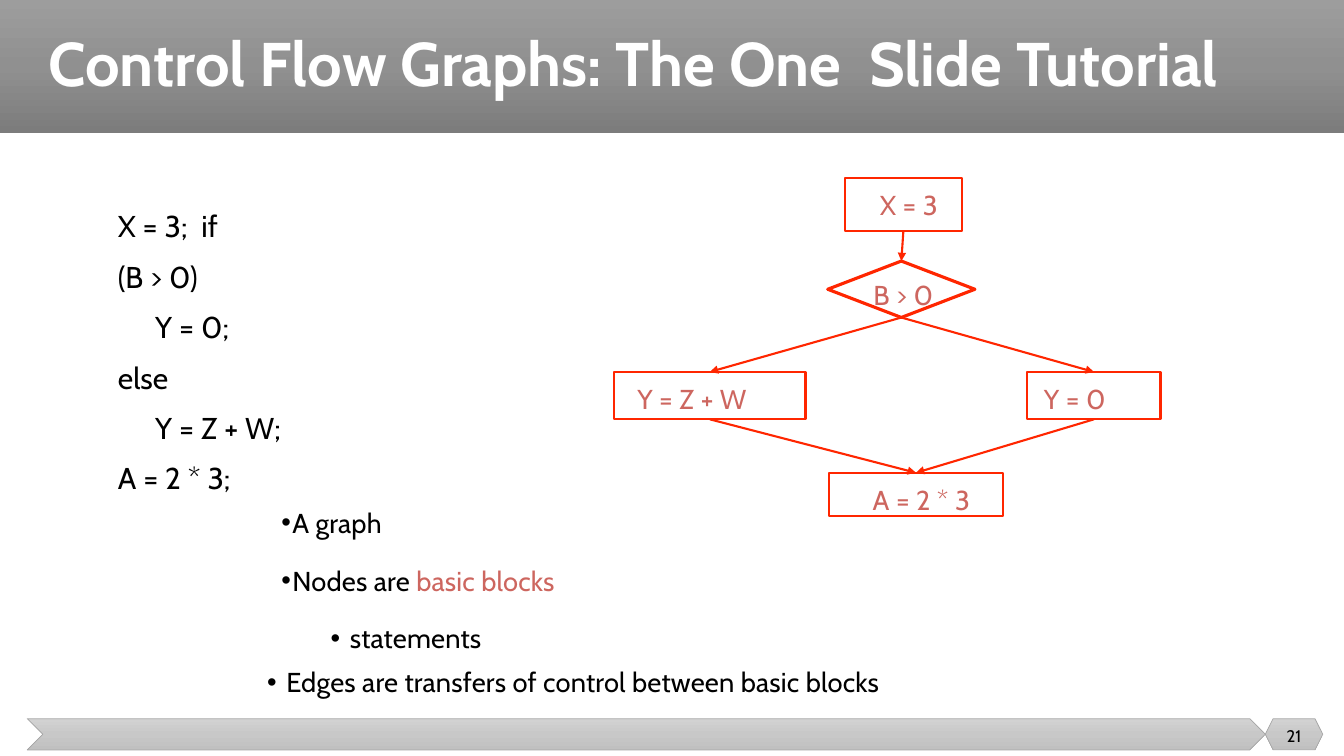
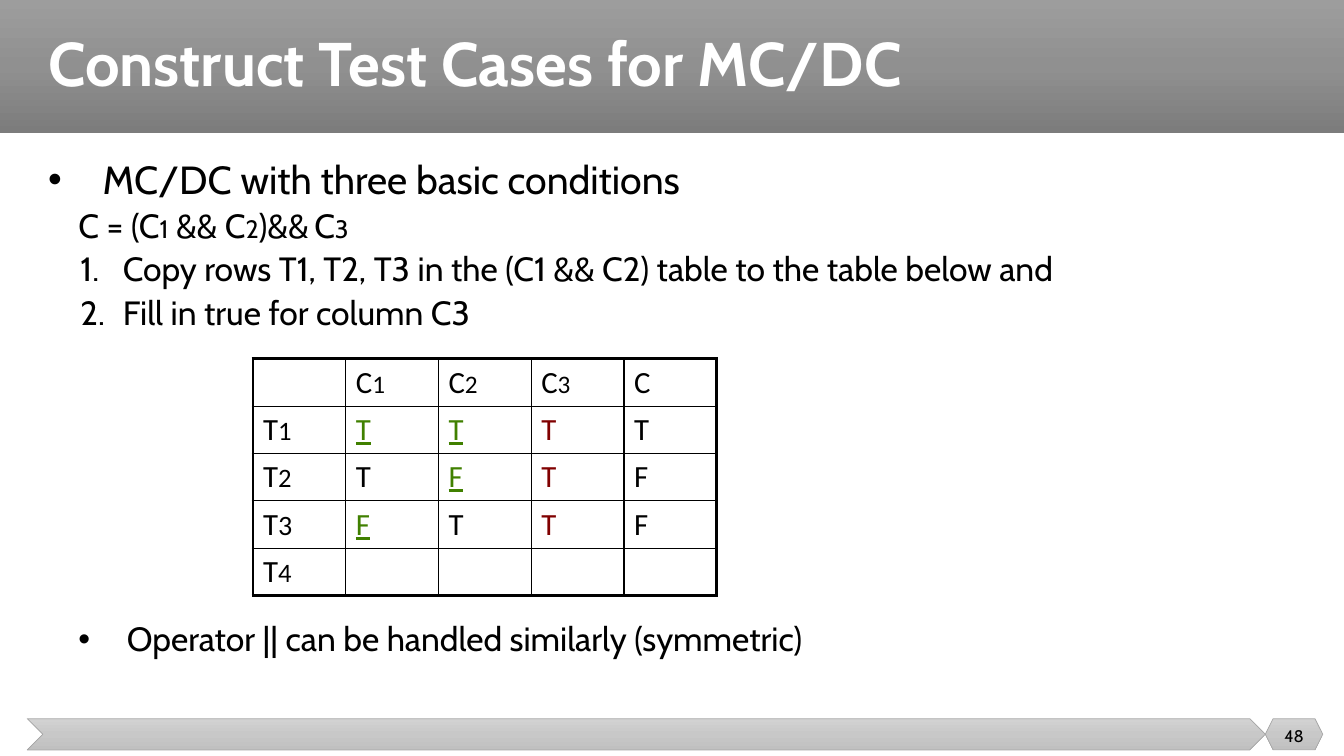
from collections.abc import Sequence
from copy import deepcopy
from dataclasses import dataclass

import pptx
import pptx.dml.color
import pptx.enum.shapes
import pptx.enum.text
import pptx.oxml
import pptx.oxml.ns
import pptx.util

RGBColor = pptx.dml.color.RGBColor
Shapes = pptx.enum.shapes.MSO_SHAPE
Align = pptx.enum.text.PP_ALIGN
Anchor = pptx.enum.text.MSO_ANCHOR
Pt = pptx.util.Pt
qn = pptx.oxml.ns.qn

EMU_PER_PX = 9144  # 100 px to the inch
FONT, TABLE_FONT = "Cabin", "Calibri"
BLACK = RGBColor(0x00, 0x00, 0x00)
WHITE = RGBColor(0xFF, 0xFF, 0xFF)
RED = RGBColor(0xFF, 0x26, 0x00)
ROSE = RGBColor(0xCD, 0x66, 0x5F)
GREEN = RGBColor(0x40, 0x80, 0x00)
MAROON = RGBColor(0x80, 0x00, 0x00)
FOOTER_LINE = RGBColor(0xA5, 0xA5, 0xA5)
TITLE_GRADIENT = tuple(RGBColor(v, v, v) for v in (0x9D, 0x90, 0x7C))
FOOTER_GRADIENT = tuple(RGBColor(v, v, v) for v in (0xD2, 0xC8, 0xC0))


@dataclass(frozen=True)
class Box:
    left: int
    top: int
    width: int
    height: int

    def emu(self) -> tuple[int, ...]:
        return tuple(px(v) for v in (self.left, self.top, self.width, self.height))


@dataclass(frozen=True)
class Run:
    text: str
    size: float | None = None
    color: RGBColor | None = None
    underline: bool = False


@dataclass(frozen=True)
class Line:
    """One paragraph; bullet is a character, or "1." for automatic numbers."""
    runs: Sequence[Run]
    indent: int = 0
    hanging: int = 0
    before: float = 0
    bullet: str = ""


@dataclass(frozen=True)
class Node:
    name: str
    text: str
    box: Box
    insets: tuple[int, int, int, int]
    kind: Shapes = Shapes.RECTANGLE
    weight: float = 1.5


def px(length: int) -> int:
    return length * EMU_PER_PX


# Text
def add_bullet(paragraph, line: Line) -> None:
    properties = paragraph._p.get_or_add_pPr()
    properties.set("marL", str(px(line.indent)))
    properties.set("indent", str(-px(line.hanging)))
    if line.bullet == "1.":
        bullet = pptx.oxml.ns.nsdecls("a")
        properties.append(pptx.oxml.parse_xml(f'<a:buAutoNum {bullet} type="arabicPeriod"/>'))
    elif line.bullet:
        namespace = pptx.oxml.ns.nsdecls("a")
        properties.append(pptx.oxml.parse_xml(f'<a:buFont {namespace} typeface="Arial"/>'))
        properties.append(pptx.oxml.parse_xml(f'<a:buChar {namespace} char="{line.bullet}"/>'))


def write_text(frame, text: str | Sequence[Line], *, size: float, color: RGBColor = BLACK,
               font: str = FONT, bold: bool = False, align: Align = Align.LEFT,
               spacing=None, tracking: int = 0) -> None:
    lines = [Line([Run(text)])] if isinstance(text, str) else text
    for index, line in enumerate(lines):
        paragraph = frame.paragraphs[0] if index == 0 else frame.add_paragraph()
        add_bullet(paragraph, line)
        paragraph.alignment = align
        paragraph.space_before = Pt(line.before)
        if spacing is not None:
            paragraph.line_spacing = spacing
        for part in line.runs:
            run = paragraph.add_run()
            run.text = part.text
            run.font.name = font
            run.font.size = Pt(part.size or size)
            run.font.bold = bold
            run.font.underline = part.underline
            run.font.color.rgb = part.color or color
            if tracking:
                run._r.get_or_add_rPr().set("spc", str(tracking))


def prepare_frame(shape, insets: tuple[int, int, int, int], anchor: Anchor = Anchor.TOP):
    frame = shape.text_frame
    frame.word_wrap = True
    frame.vertical_anchor = anchor
    frame.margin_left, frame.margin_top, frame.margin_right, frame.margin_bottom = map(px, insets)
    return frame


def add_text(slide, box: Box, text: str | Sequence[Line], *,
             insets: tuple[int, int, int, int] = (10, 5, 10, 5),
             anchor: Anchor = Anchor.TOP, **text_format) -> None:
    shape = slide.shapes.add_textbox(*box.emu())
    write_text(prepare_frame(shape, insets, anchor), text, **text_format)


# Shared frame: title band, footer bar and page number
def add_band(slide, kind: Shapes, box: Box, colors: Sequence[RGBColor],
             outline: RGBColor | None = None):
    shape = slide.shapes.add_shape(kind, *box.emu())
    shape.shadow.inherit = False
    shape.fill.gradient()
    shape.fill.gradient_angle = 270
    stops = shape._element.spPr.find(".//" + qn("a:gsLst"))
    stops.insert(1, deepcopy(stops[0]))
    stops[1].set("pos", "50000")
    for stop, color in zip(shape.fill.gradient_stops, colors):
        stop.color.rgb = color
    if outline is None:
        shape.line.fill.background()
    else:
        shape.line.color.rgb = outline
        shape.line.width = Pt(0.5)
    return shape


def add_framed_slide(presentation, title: str, number: int):
    slide = presentation.slides.add_slide(presentation.slide_layouts[6])
    add_band(slide, Shapes.RECTANGLE, Box(0, 0, 1333, 132), TITLE_GRADIENT)
    add_band(slide, Shapes.CHEVRON, Box(27, 713, 1228, 31), FOOTER_GRADIENT, FOOTER_LINE)
    badge = add_band(slide, Shapes.HEXAGON, Box(1255, 713, 57, 31), FOOTER_GRADIENT, FOOTER_LINE)
    write_text(prepare_frame(badge, (0, 3, 0, 0), Anchor.MIDDLE), str(number),
               size=12, align=Align.CENTER)
    add_text(slide, Box(38, 0, 1274, 132), title, anchor=Anchor.MIDDLE,
             size=44, color=WHITE, bold=True, spacing=0.9)
    return slide


# Flow graph
def add_node(slide, node: Node):
    shape = slide.shapes.add_shape(node.kind, *node.box.emu())
    shape.shadow.inherit = False
    shape.fill.background()
    shape.line.color.rgb = RED
    shape.line.width = Pt(node.weight)
    write_text(prepare_frame(shape, node.insets), node.text, size=19.5, color=ROSE,
               align=Align.CENTER, tracking=10)
    return shape


def add_edge(slide, source, target) -> None:
    edge = slide.shapes.add_connector(pptx.enum.shapes.MSO_CONNECTOR.STRAIGHT, 0, 0, 0, 0)
    edge.begin_connect(source, 2)
    edge.end_connect(target, 0)
    edge.line.color.rgb = RED
    edge.line.width = Pt(1.5)
    namespace = pptx.oxml.ns.nsdecls("a")
    edge.line._get_or_add_ln().append(
        pptx.oxml.parse_xml(f'<a:tailEnd {namespace} type="triangle"/>'))
    edge._element.spPr.append(pptx.oxml.parse_xml(f"<a:effectLst {namespace}/>"))


NODES = (
    Node("start", "X = 3", Box(838, 177, 116, 52), (11, 10, 0, 0)),
    Node("test", "B > 0", Box(821, 259, 146, 56), (4, 3, 0, 0), Shapes.DIAMOND, 2.25),
    Node("else", "Y = Z + W", Box(609, 369, 190, 47), (10, 10, 45, 0)),
    Node("then", "Y = 0", Box(1019, 369, 132, 47), (10, 10, 48, 0)),
    Node("end", "A = 2 * 3", Box(822, 469, 173, 43), (11, 10, 0, 0)),
)
EDGES = (("start", "test"), ("test", "else"), ("test", "then"), ("else", "end"), ("then", "end"))


def build_flow_slide(presentation) -> None:
    slide = add_framed_slide(presentation, "Control Flow Graphs: The One  Slide Tutorial", 21)
    code = (("X = 3;  if", 1), ("(B > 0)", 1), ("Y = 0;", 38), ("else", 1),
            ("Y = Z + W;", 38), ("A = 2 * 3;", 1))
    add_text(slide, Box(116, 192, 194, 302), [Line([Run(text)], indent) for text, indent in code],
             insets=(0, 0, 0, 0), size=21.5, spacing=Pt(36), tracking=5)

    shapes = {node.name: add_node(slide, node) for node in NODES}
    for source, target in EDGES:
        add_edge(slide, shapes[source], shapes[target])

    notes = [
        Line([Run("A graph")], 12, 11, bullet="•"),
        Line([Run("Nodes are "), Run("basic blocks", color=ROSE)], 12, 11, 17.9, "•"),
        Line([Run("statements")], 69, 19, 17.9, "•"),
    ]
    transfers = [Line([Run("Edges are transfers of control between basic blocks")],
                      20, 19, bullet="•")]
    for box, lines in ((Box(278, 500, 306, 150), notes), (Box(264, 658, 690, 36), transfers)):
        add_text(slide, box, lines, insets=(0, 2, 0, 0), size=19.5, tracking=10)


# Truth table
def set_borders(cell, row: int, column: int, last: int) -> None:
    properties = cell._tc.get_or_add_tcPr()
    outer = {"lnL": column == 0, "lnR": column == last, "lnT": row == 0, "lnB": row == last}
    for position, (side, is_outer) in enumerate(outer.items()):
        width = Pt(2.25 if is_outer else 1)
        properties.insert(position, pptx.oxml.parse_xml(
            f'<a:{side} {pptx.oxml.ns.nsdecls("a")} w="{width}"><a:solidFill>'
            f'<a:srgbClr val="{BLACK}"/></a:solidFill></a:{side}>'))


def label(letter: str, digit: int, size: int) -> list[Run]:
    return [Run(letter), Run(str(digit), size)]


def add_truth_table(slide) -> None:
    kept = {letter: [Run(letter, color=GREEN, underline=True)] for letter in "TF"}
    plain = {letter: [Run(letter)] for letter in "TFC"}
    filled = [Run("T", color=MAROON)]
    rows = (
        ([], *(label("C", digit, 18) for digit in (1, 2, 3)), plain["C"]),
        (label("T", 1, 19), kept["T"], kept["T"], filled, plain["T"]),
        (label("T", 2, 19), plain["T"], kept["F"], filled, plain["F"]),
        (label("T", 3, 20), kept["F"], plain["T"], filled, plain["F"]),
        (label("T", 4, 19), [], [], [], []),
    )
    count = len(rows)
    table = slide.shapes.add_table(count, count, *Box(251, 356, 460, 235).emu()).table
    table.first_row = table.horz_banding = False
    for index in range(count):
        table.columns[index].width = px(92)
        table.rows[index].height = px(47)
    for row, contents in enumerate(rows):
        for column, runs in enumerate(contents):
            cell = table.cell(row, column)
            cell.fill.background()
            set_borders(cell, row, column, count - 1)
            write_text(cell.text_frame, [Line(runs)], size=22, font=TABLE_FONT)


def build_test_case_slide(presentation) -> None:
    slide = add_framed_slide(presentation, "Construct Test Cases for MC/DC", 48)
    formula = [Run("C = (C"), Run("1", 18), Run(" && C"), Run("2", 18), Run(")&&"),
               Run(" ", 18), Run("C"), Run("3", 18)]
    steps = ("Copy rows T1, T2, T3 in the (C1 && C2) table to the table below and",
             "Fill in true for column C3")
    add_text(slide, Box(38, 154, 1274, 190), [
        Line([Run("MC/DC with three basic conditions", 28)], 54, 54, bullet="•"),
        Line(formula, 30, before=5),
        *(Line([Run(step)], 74, 42, 5, "1.") for step in steps),
    ], size=24, spacing=0.9)
    add_truth_table(slide)
    add_text(slide, Box(38, 613, 1274, 50),
             [Line([Run("Operator || can be handled similarly (symmetric)")], 78, 48, bullet="•")],
             size=24, spacing=0.9)


def main() -> None:
    presentation = pptx.Presentation()
    presentation.slide_width, presentation.slide_height = px(1333), px(750)
    build_flow_slide(presentation)
    build_test_case_slide(presentation)
    presentation.save("out.pptx")


if __name__ == "__main__":
    main()
